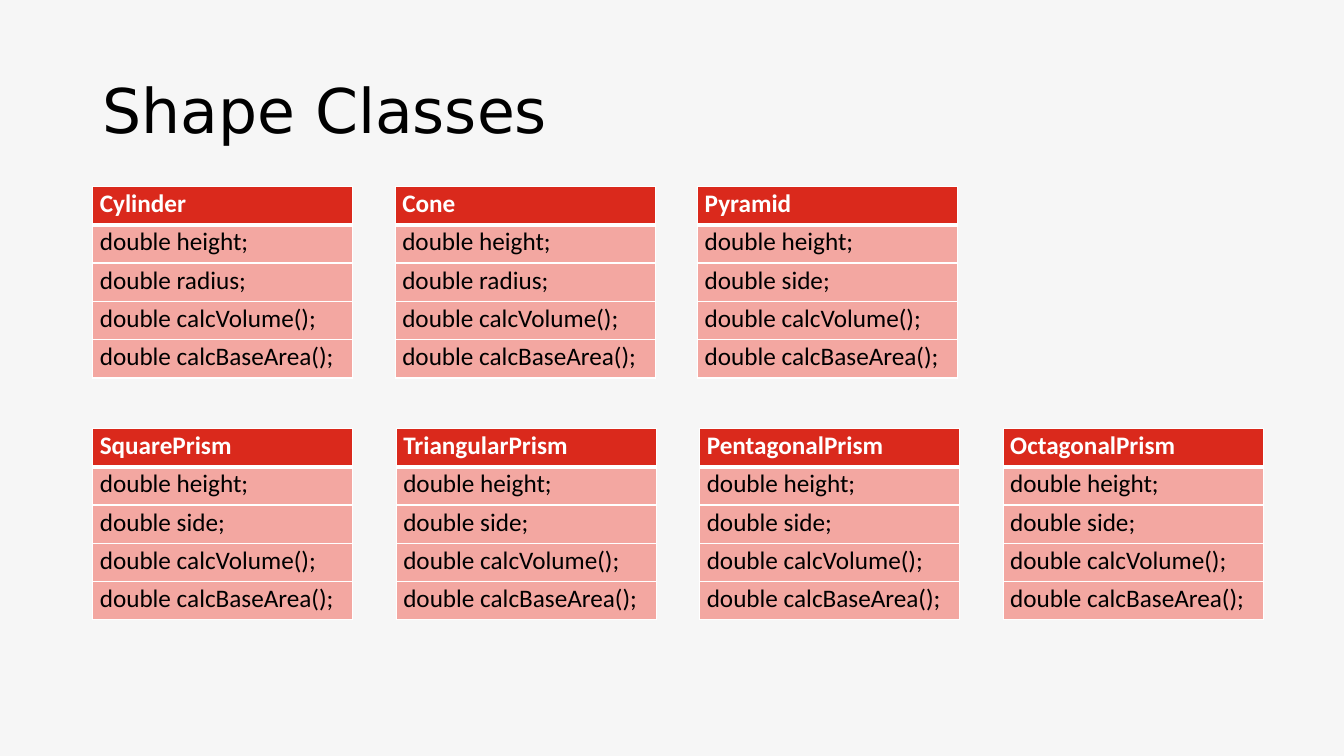
from lxml.etree import SubElement
from pptx import Presentation
from pptx.dml.color import RGBColor
from pptx.enum.text import MSO_ANCHOR
from pptx.oxml.ns import qn
from pptx.util import Inches, Pt

LEFT = 0.92
TABLE_WIDTH = 2.58
ROW_HEIGHT = 0.38
METHODS = ["double calcVolume();", "double calcBaseArea();"]
CLASS_ROWS = [
    (1.85, 3.0, [("Cylinder", "radius"), ("Cone", "radius"), ("Pyramid", "side")]),
    (4.25, 3.01, [("SquarePrism", "side"), ("TriangularPrism", "side"),
                  ("PentagonalPrism", "side"), ("OctagonalPrism", "side")]),
]


def color(value):
    return RGBColor.from_string(value)


def set_background(page, value):
    fill = page.background.fill
    fill.solid()
    fill.fore_color.rgb = color(value)


def format_text(para, font_name, size, value, bold=False):
    para.font.name = font_name
    para.font.size = Pt(size)
    para.font.color.rgb = color(value)
    para.font.bold = bold


def add_title(page, text):
    title = page.shapes.title
    title.left, title.top = Inches(LEFT), Inches(0.4)
    title.width, title.height = Inches(11.5), Inches(1.45)
    frame = title.text_frame
    frame.text = text
    frame.vertical_anchor = MSO_ANCHOR.MIDDLE
    para = frame.paragraphs[0]
    para.line_spacing = 0.9
    format_text(para, "DejaVu Sans", 44, "000000")


def add_border(cell, side, width):
    properties = cell._tc.get_or_add_tcPr()
    line = SubElement(properties, qn(f"a:ln{side}"), w=str(Pt(width)))
    fill = SubElement(line, qn("a:solidFill"))
    SubElement(fill, qn("a:srgbClr"), val="FFFFFF")


def fill_cell(cell, text, row):
    is_header = row == 0
    widths = {"L": 1, "R": 1, "T": 3 if row == 1 else 1, "B": 3 if is_header else 1}
    for side, width in widths.items():
        add_border(cell, side, width)
    cell.fill.solid()
    cell.fill.fore_color.rgb = color("DA291C" if is_header else "F3A7A1")
    cell.margin_left = cell.margin_right = Inches(0.07)
    cell.margin_top = cell.margin_bottom = 0
    cell.text = text
    para = cell.text_frame.paragraphs[0]
    para.line_spacing = 1.07
    para.space_after = Pt(8)
    format_text(para, "Calibri", 18, "FFFFFF" if is_header else "000000", is_header)


def add_class_table(page, left, top, class_name, dimension):
    lines = [class_name, "double height;", f"double {dimension};", *METHODS]
    table = page.shapes.add_table(
        len(lines), 1, Inches(left), Inches(top),
        Inches(TABLE_WIDTH), Inches(ROW_HEIGHT * len(lines))).table
    for row, text in enumerate(lines):
        table.rows[row].height = Inches(ROW_HEIGHT)
        fill_cell(table.cell(row, 0), text, row)


def main():
    deck = Presentation()
    deck.slide_width, deck.slide_height = Inches(13.33), Inches(7.5)
    page = deck.slides.add_slide(deck.slide_layouts[5])
    set_background(page, "F6F6F6")
    add_title(page, "Shape Classes")
    page.shapes.title.text_frame.paragraphs[0].alignment = 1
    for top, pitch, classes in CLASS_ROWS:
        for column, (class_name, dimension) in enumerate(classes):
            add_class_table(page, LEFT + column * pitch, top, class_name, dimension)
    deck.save("out.pptx")


if __name__ == "__main__":
    main()
